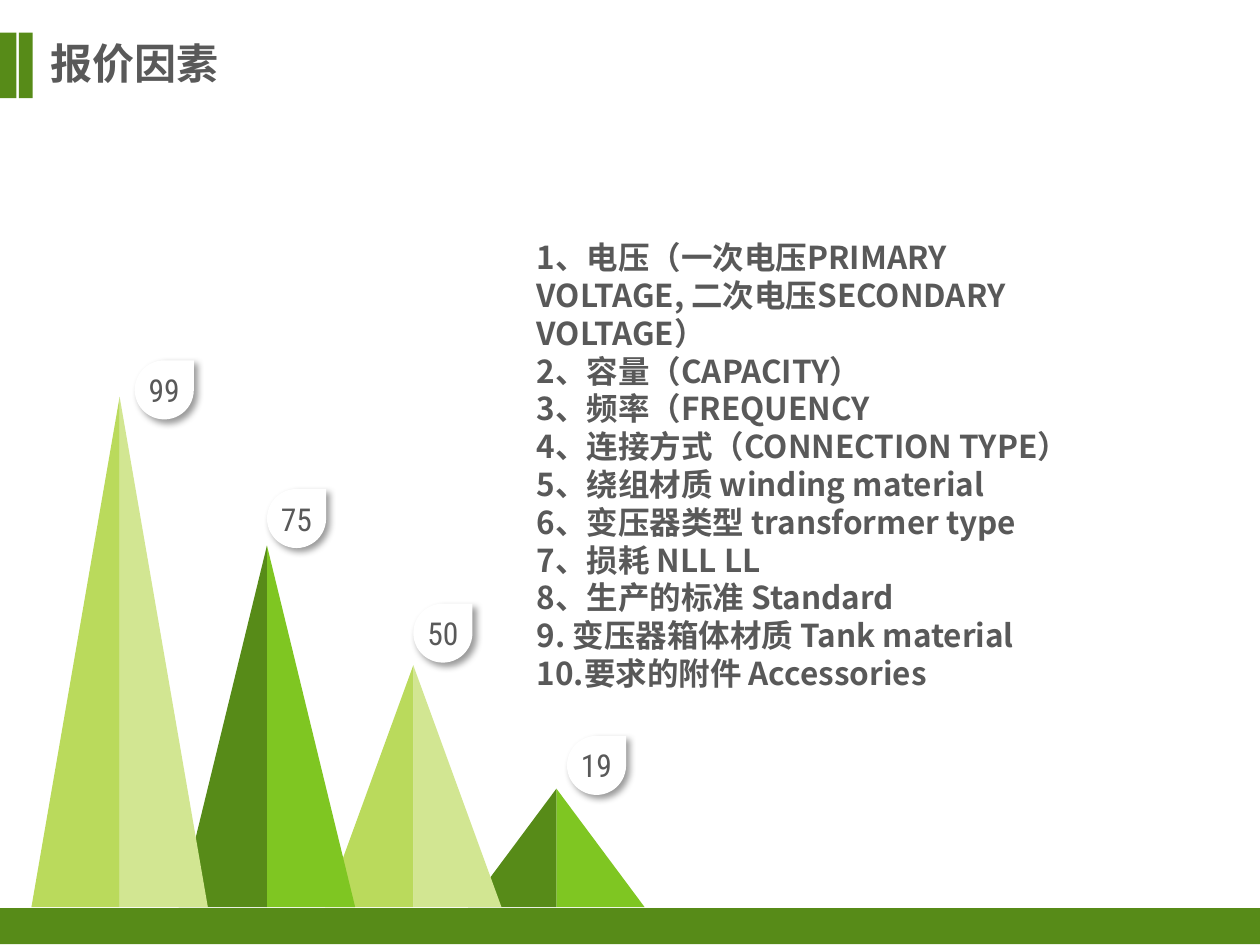
import pptx
import pptx.util
import pptx.dml.color
import pptx.enum.shapes
import pptx.enum.text
import pptx.oxml
import pptx.oxml.ns
import lxml.etree

Pt = pptx.util.Pt
Shape = pptx.enum.shapes.MSO_SHAPE
Align = pptx.enum.text.PP_ALIGN
Anchor = pptx.enum.text.MSO_ANCHOR

DARK, BRIGHT, LIME, PALE = "578B18", "7FC622", "BADA5C", "D2E692"
WHITE, GRAY = "FFFFFF", "595959"
BASE, HALF_WIDTH, DROP_SIZE = 518.4, 50.4, 33.8

FACTORS = [
    "1、电压（一次电压PRIMARY VOLTAGE, 二次电压SECONDARY VOLTAGE）",
    "2、容量（CAPACITY）",
    "3、频率（FREQUENCY",
    "4、连接方式（CONNECTION TYPE）",
    "5、绕组材质 winding material",
    "6、变压器类型 transformer type",
    "7、损耗 NLL LL",
    "8、生产的标准 Standard",
    "9. 变压器箱体材质 Tank material",
    "10.要求的附件 Accessories",
]

PEAKS = [
    (68.4, 226.8, LIME, PALE),
    (152.6, 311.8, DARK, BRIGHT),
    (236.2, 380.2, LIME, PALE),
    (318, 450.7, DARK, BRIGHT),
]
LABELS = [("99", 77, 205.9), ("75", 152.6, 279.4), ("50", 236.2, 344.9), ("19", 324, 420.5)]


def color(value):
    return pptx.dml.color.RGBColor.from_string(value)


class Painter:
    """Draws styled elements on the current slide."""

    def __init__(self, page):
        self.page = page
        self.text_font = "Noto Sans CJK SC"
        self.number_font = "Roboto Condensed"

    def add_span(self, para, text, size, font, bold):
        span = para.add_run()
        span.text = text
        span.font.size = Pt(size)
        span.font.bold = bold
        span.font.name = font
        span.font.color.rgb = color(GRAY)
        east_asian = lxml.etree.SubElement(span.font._element, pptx.oxml.ns.qn("a:ea"))
        east_asian.set("typeface", font)

    def fill_placeholder(self, box, bounds, lines, size):
        box.left, box.top, box.width, box.height = map(Pt, bounds)
        frame = box.text_frame
        frame.word_wrap = True
        frame.auto_size = pptx.enum.text.MSO_AUTO_SIZE.NONE
        frame.vertical_anchor = Anchor.TOP
        for index, line in enumerate(lines):
            para = frame.paragraphs[0] if index == 0 else frame.add_paragraph()
            properties = para._p.get_or_add_pPr()
            properties.set("marL", "0")
            properties.set("indent", "0")
            lxml.etree.SubElement(properties, pptx.oxml.ns.qn("a:buNone"))
            para.alignment = Align.LEFT
            para.space_before = Pt(0)
            para.line_spacing = Pt(size * 1.2)
            self.add_span(para, line, size, self.text_font, True)

    def shape(self, kind, left, top, width, height, fill):
        box = self.page.shapes.add_shape(kind, Pt(left), Pt(top), Pt(width), Pt(height))
        box.shadow.inherit = False
        box.fill.solid()
        box.fill.fore_color.rgb = color(fill)
        box.line.fill.background()
        return box

    def peak(self, center, top, left_fill, right_fill):
        size = (HALF_WIDTH, BASE - top)
        self.shape(Shape.RIGHT_TRIANGLE, center, top, *size, right_fill)
        left_half = self.shape(Shape.RIGHT_TRIANGLE, center - HALF_WIDTH, top, *size, left_fill)
        left_half._element.spPr.get_or_add_xfrm().set("flipH", "1")

    def drop(self, text, left, top):
        box = self.shape(Shape.TEAR, left, top, DROP_SIZE, DROP_SIZE, WHITE)
        effects = box._element.spPr.find(pptx.oxml.ns.qn("a:effectLst"))
        effects.append(pptx.oxml.parse_xml(
            f'<a:outerShdw {pptx.oxml.ns.nsdecls("a")} blurRad="{Pt(4)}" dist="{Pt(3)}" '
            'dir="2700000" algn="tl" rotWithShape="0"><a:srgbClr val="000000">'
            '<a:alpha val="40000"/></a:srgbClr></a:outerShdw>'))
        frame = box.text_frame
        frame.margin_left = frame.margin_right = frame.margin_top = frame.margin_bottom = 0
        frame.vertical_anchor = Anchor.MIDDLE
        para = frame.paragraphs[0]
        para.alignment = Align.CENTER
        self.add_span(para, text, 18, self.number_font, False)


def main():
    deck = pptx.Presentation()
    deck.slide_width, deck.slide_height = Pt(720), Pt(540)
    page = deck.slides.add_slide(deck.slide_layouts[1])
    painter = Painter(page)

    painter.shape(Shape.RECTANGLE, -2, 519, 726, 20.5, DARK)
    painter.fill_placeholder(page.placeholders[1], (299.5, 132.5, 329, 234.7), FACTORS, 18)
    painter.fill_placeholder(page.shapes.title, (21.6, 18, 237.6, 36), ["报价因素"], 24)
    for left, width in [(0, 9.4), (10.8, 7.9)]:
        painter.shape(Shape.RECTANGLE, left, 18.7, width, 37.4, DARK)
    for peak in reversed(PEAKS):
        painter.peak(*peak)
    for label in reversed(LABELS):
        painter.drop(*label)

    deck.save("out.pptx")


if __name__ == "__main__":
    main()
